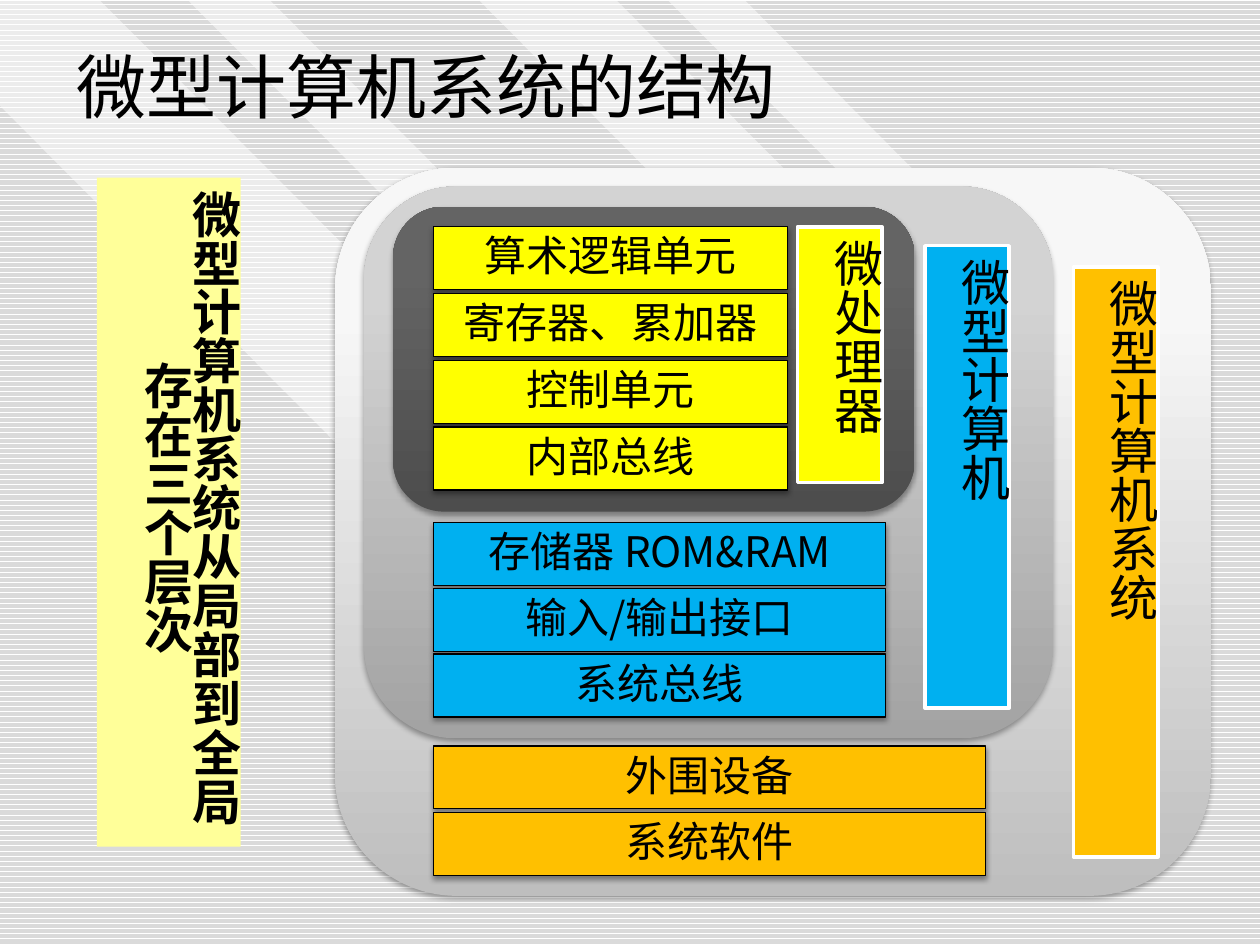
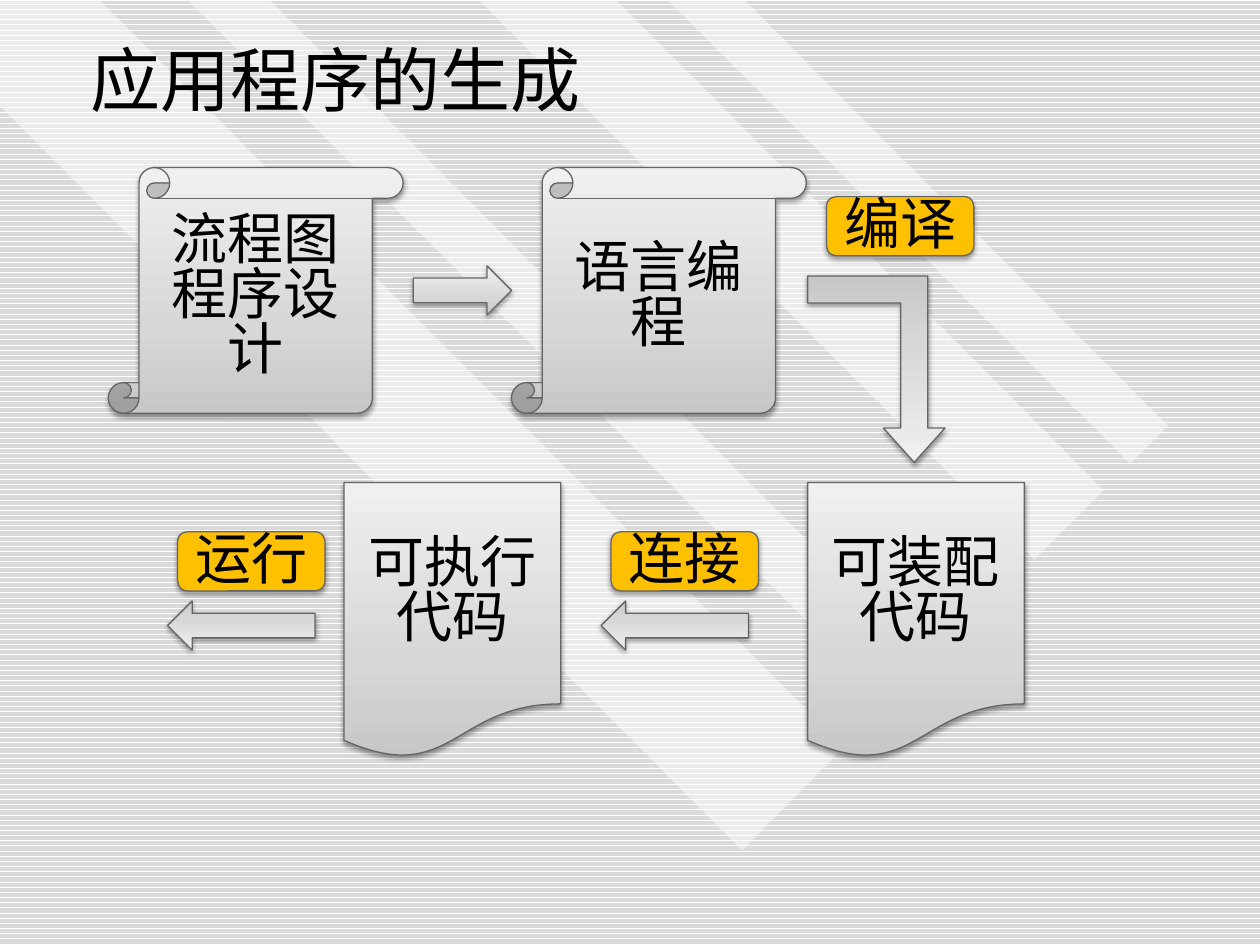
from lxml import etree
from pptx import Presentation
from pptx.dml.color import RGBColor
from pptx.enum.dml import MSO_PATTERN
from pptx.enum.shapes import MSO_SHAPE
from pptx.enum.text import MSO_ANCHOR, PP_ALIGN
from pptx.oxml.ns import qn
from pptx.util import Inches, Pt

RECT, ROUND = MSO_SHAPE.RECTANGLE, MSO_SHAPE.ROUNDED_RECTANGLE
SCROLL, DOCUMENT = MSO_SHAPE.VERTICAL_SCROLL, MSO_SHAPE.FLOWCHART_DOCUMENT
ARROW, BENT_ARROW = MSO_SHAPE.RIGHT_ARROW, MSO_SHAPE.BENT_UP_ARROW
TOP, MIDDLE = MSO_ANCHOR.TOP, MSO_ANCHOR.MIDDLE
LEFT, CENTER = PP_ALIGN.LEFT, PP_ALIGN.CENTER
STRIPES = MSO_PATTERN.DARK_HORIZONTAL

FONT = "Noto Sans CJK SC"
TIGHT = 0.82
COLORS = {
    "black": "000000", "white": "FFFFFF", "stripe": "DADADA", "outline": "656565",
    "yellow": "FFFF00", "blue": "00B0F0", "orange": "FFC000", "note": "FFFF99",
}
# Gradient stops run from the bottom of a shape to its top.
GRADIENTS = {
    "system": [(0, "BEBEBE"), (80, "F7F7F7"), (100, "F8F8F8")],
    "computer": [(0, "A3A3A3"), (80, "D3D3D3"), (100, "D4D4D4")],
    "processor": [(0, "4D4D4D"), (80, "646464"), (100, "646464")],
    "step": [(0, "C7C7C7"), (35, "D7D7D7"), (100, "F0F0F0")],
}
BEAMS = [
    [(6.7, 5.93), (0.79, 0), (0, 0), (0, 0.84), (5.89, 6.75)],
    [(2.14, 0), (7.38, 5.27), (7.06, 5.59), (1.49, 0)],
    [(4.89, 0), (8.76, 3.89), (8.21, 4.44), (3.8, 0)],
    [(5.3, 0), (8.97, 3.68), (9.27, 3.38), (5.91, 0)],
]
PANELS = [
    ("system", (2.66, 1.33, 6.95, 5.78)),
    ("computer", (2.89, 1.48, 5.47, 4.38)),
    ("processor", (3.12, 1.64, 4.14, 2.42)),
]
# Colour, top of the first part, distance between parts, width, parts, name, place of the name.
LAYERS = [
    ("yellow", 1.8, 0.53, 2.81, ["算术逻辑单元", "寄存器、累加器", "控制单元", "内部总线"],
     "微处理器", (6.33, 1.8, 0.67, 2.03)),
    ("blue", 4.15, 0.52, 3.59, ["存储器 ROM&RAM", "输入/输出接口", "系统总线"],
     "微型计算机", (7.34, 1.95, 0.67, 3.67)),
    ("orange", 5.92, 0.53, 4.38, ["外围设备", "系统软件"],
     "微型计算机系统", (8.52, 2.12, 0.67, 4.68)),
]


def rgb(name):
    return RGBColor.from_string(COLORS[name])


def add_child(parent, tag, **values):
    child = etree.SubElement(parent, qn(tag))
    for name, value in values.items():
        child.set(name, str(value))
    return child


def paint(shape, fill, line=None, weight=0.75):
    """Fill with a plain colour or a gradient, and outline if a line colour is given."""
    if fill in GRADIENTS:
        shape.fill.gradient()
        shape.fill.gradient_angle = 90
        stops = shape._element.spPr.find(qn("a:gradFill")).find(qn("a:gsLst"))
        for stop in list(stops):
            stops.remove(stop)
        for position, color in GRADIENTS[fill]:
            stop = add_child(stops, "a:gs", pos=position * 1000)
            add_child(stop, "a:srgbClr", val=color)
    else:
        shape.fill.solid()
        shape.fill.fore_color.rgb = rgb(fill)
    if line:
        shape.line.color.rgb = rgb(line)
        shape.line.width = Pt(weight)
    else:
        shape.line.fill.background()
    shape.shadow.inherit = False


def cast_shadow(shape, distance=1.6, opacity=38):
    effects = shape._element.spPr.find(qn("a:effectLst"))
    shadow = add_child(effects, "a:outerShdw", blurRad=Pt(3.1), dist=Pt(distance),
                       dir=5400000, rotWithShape=0)
    color = add_child(shadow, "a:srgbClr", val=COLORS["black"])
    add_child(color, "a:alpha", val=opacity * 1000)


def write(shape, text, size, align=CENTER, anchor=MIDDLE, spacing=0.9, bold=False,
          vertical=False):
    frame = shape.text_frame
    frame.word_wrap = True
    frame.vertical_anchor = anchor
    if vertical:
        frame._txBody.bodyPr.set("vert", "eaVert")
    para = frame.paragraphs[0]
    para.alignment = align
    para.line_spacing = spacing
    span = para.add_run()
    span.text = text
    for name, value in {"name": FONT, "size": Pt(size), "bold": bold}.items():
        setattr(span.font, name, value)
    span.font.color.rgb = rgb("black")
    add_child(span._r.get_or_add_rPr(), "a:ea", typeface=FONT)


def add_box(page, kind, place, fill, line=None, weight=0.75):
    box = page.shapes.add_shape(kind, *map(Inches, place))
    paint(box, fill, line, weight)
    return box


def add_beam(page, corners):
    points = [(Inches(x), Inches(y)) for x, y in corners]
    builder = page.shapes.build_freeform(*points[0])
    builder.add_line_segments(points[1:], close=True)
    beam = builder.convert_to_shape()
    paint(beam, "white")
    color = beam._element.spPr.find(qn("a:solidFill"))[0]
    add_child(color, "a:alpha", val=50000)


def add_page(deck, title, place):
    """Add a striped page with light beams and a title."""
    page = deck.slides.add_slide(deck.slide_layouts[6])
    background = page.background.fill
    background.patterned()
    background.pattern = STRIPES
    background.fore_color.rgb = rgb("stripe")
    background.back_color.rgb = rgb("white")
    for corners in BEAMS:
        add_beam(page, corners)
    write(page.shapes.add_textbox(*map(Inches, place)), title, 40, align=LEFT)
    return page


def add_panel(page, fill, place):
    cast_shadow(add_box(page, ROUND, place, fill), distance=1.8, opacity=35)


def add_layer(page, color, top, step, width, parts, name, name_place):
    for index, part in enumerate(parts):
        box = add_box(page, RECT, (3.44, top + index * step, width, 0.5), color, "black")
        cast_shadow(box)
        write(box, part, 24)
    bar = add_box(page, RECT, name_place, color, "white", 2)
    write(bar, name, 28, align=LEFT, anchor=TOP, spacing=TIGHT, vertical=True)


def add_step(page, kind, place, text=None, fill="step"):
    box = add_box(page, kind, place, fill, "outline")
    cast_shadow(box)
    if text:
        write(box, text, 32, spacing=0.9 if kind == ROUND else TIGHT)
    return box


def add_action(page, left, top, text):
    add_step(page, ROUND, (left, top, 1.17, 0.47), text, "orange")


def build_structure(deck):
    page = add_page(deck, "微型计算机系统的结构", (0.51, 0.35, 6.28, 0.74))
    for fill, place in PANELS:
        add_panel(page, fill, place)
    for layer in LAYERS:
        add_layer(page, *layer)
    note = add_box(page, RECT, (0.77, 1.41, 1.14, 5.31), "note")
    write(note, "微型计算机系统从局部到全局存在三个层次", 28, anchor=TOP,
          spacing=TIGHT, bold=True, vertical=True)


def build_generation(deck):
    page = add_page(deck, "应用程序的生成", (0.62, 0.31, 5.08, 0.71))
    for left, text in [(0.86, "流程图程序设计"), (4.06, "语言编程")]:
        add_step(page, SCROLL, (left, 1.33, 2.34, 1.95), text)
    add_step(page, ARROW, (3.28, 2.11, 0.78, 0.39))

    bend = add_step(page, BENT_ARROW, (6.41, 2.19, 1.09, 1.48))
    bend._element.spPr.xfrm.set("flipV", "1")
    for index, value in enumerate([0.197, 0.224, 0.25]):
        bend.adjustments[index] = value
    add_action(page, 6.56, 1.56, "编译")

    for left, text in [(6.41, "可装配代码"), (2.73, "可执行代码")]:
        add_step(page, DOCUMENT, (left, 3.83, 1.72, 2.19), text)
    for left, text in [(4.77, "连接"), (1.33, "运行")]:
        add_step(page, ARROW, (left, 4.77, 1.17, 0.39)).rotation = 180
        add_action(page, left + 0.08, 4.22, text)


def main():
    deck = Presentation()
    deck.slide_width, deck.slide_height = Inches(10), Inches(7.5)
    build_structure(deck)
    build_generation(deck)
    deck.save("out.pptx")


if __name__ == "__main__":
    main()
